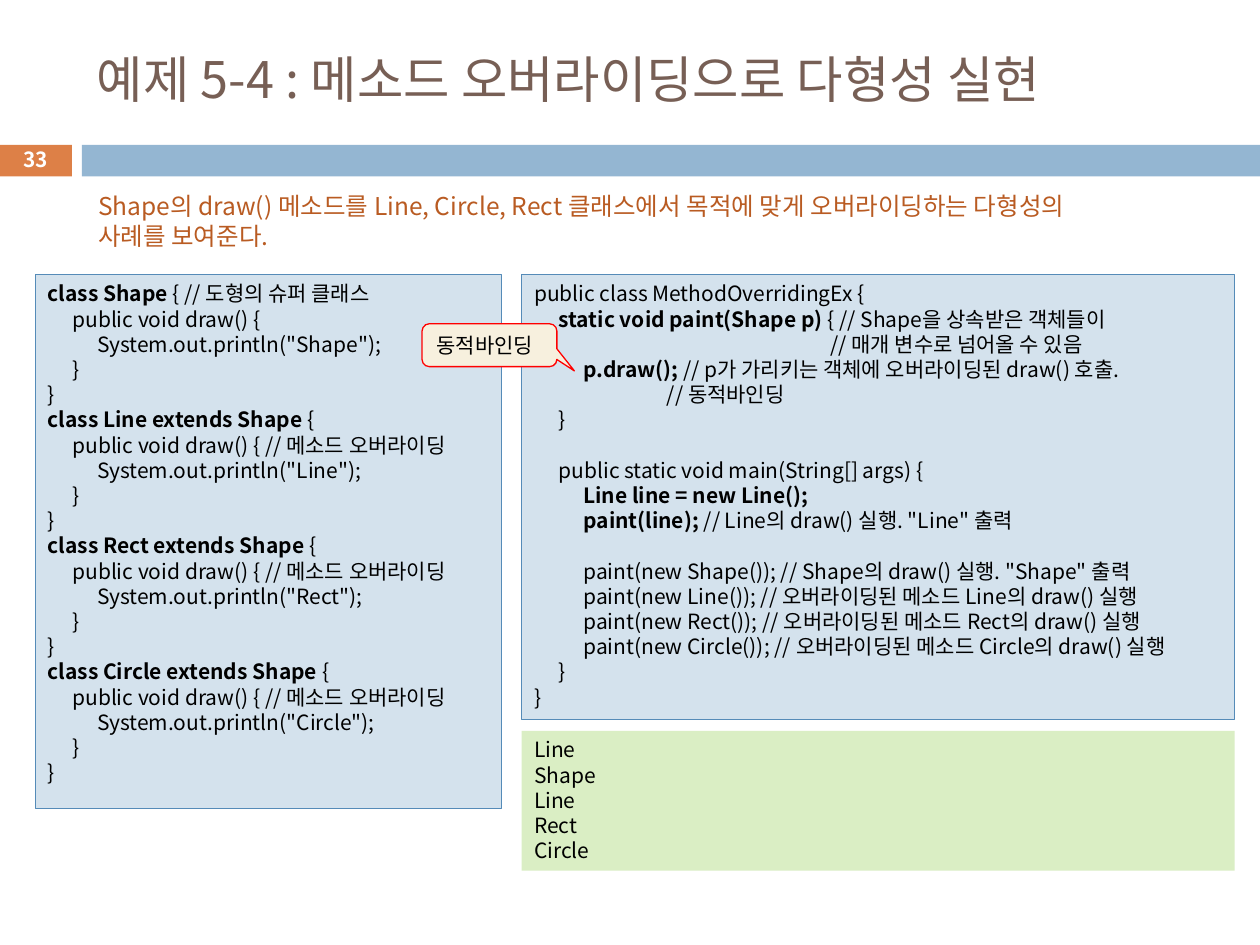
from typing import NamedTuple, Optional

from lxml import etree
from pptx import Presentation
from pptx.dml.color import RGBColor
from pptx.enum import shapes, text
from pptx.oxml import ns
from pptx.util import Inches, Pt

FONT = "Noto Sans CJK KR"
BLACK = RGBColor(0x00, 0x00, 0x00)
WHITE = RGBColor(0xFF, 0xFF, 0xFF)
BROWN = RGBColor(0x77, 0x5F, 0x55)
RUST = RGBColor(0xB9, 0x5B, 0x22)
ORANGE = RGBColor(0xDD, 0x80, 0x47)
BLUE = RGBColor(0x94, 0xB6, 0xD2)
PALE = RGBColor(0xD4, 0xE2, 0xED)
EDGE = RGBColor(0x55, 0x8B, 0xB8)
GREEN = RGBColor(0xDA, 0xEE, 0xC4)
CREAM = RGBColor(0xF7, 0xF0, 0xDE)
RED = RGBColor(0xFF, 0x00, 0x00)

TAB = Inches(0.196)
STOPS = 12
PITCH = 1.2  # line height as a multiple of the font size


class Box(NamedTuple):
    left: float
    top: float
    width: float
    height: float


class Line(NamedTuple):
    tabs: int
    plain: str
    bold: str = ""
    gap: bool = False  # leave one line free above


class Style(NamedTuple):
    size: float = 12
    color: RGBColor = BLACK
    bold: bool = False
    align: text.PP_ALIGN = text.PP_ALIGN.LEFT
    anchor: text.MSO_ANCHOR = text.MSO_ANCHOR.TOP
    wrap: bool = True


def place(box: Box) -> list:
    return [Inches(n) for n in box]


def add_shape(slide, box: Box, fill: RGBColor, edge: Optional[RGBColor] = None,
              kind=shapes.MSO_SHAPE.RECTANGLE):
    shape = slide.shapes.add_shape(kind, *place(box))
    shape.shadow.inherit = False
    shape.fill.solid()
    shape.fill.fore_color.rgb = fill
    if edge is None:
        shape.line.fill.background()
    else:
        shape.line.color.rgb = edge
        shape.line.width = Pt(0.75)
    return shape


def set_font(run, style: Style, bold: bool) -> None:
    font = run.font
    font.name = FONT
    font.size = Pt(style.size)
    font.bold = bold
    font.color.rgb = style.color
    east = etree.SubElement(run._r.get_or_add_rPr(), ns.qn("a:ea"))
    east.set("typeface", FONT)


def set_tabs(par) -> None:
    stops = etree.SubElement(par._p.get_or_add_pPr(), ns.qn("a:tabLst"))
    for step in range(1, STOPS + 1):
        stop = etree.SubElement(stops, ns.qn("a:tab"))
        stop.set("pos", str(step * TAB))
        stop.set("algn", "l")


def write(shape, lines: list[Line], style: Style = Style()) -> None:
    frame = shape.text_frame
    frame.word_wrap = style.wrap
    frame.vertical_anchor = style.anchor
    for index, line in enumerate(lines):
        par = frame.add_paragraph() if index else frame.paragraphs[0]
        par.alignment = style.align
        par.line_spacing = Pt(style.size * PITCH)
        if line.gap:
            par.space_before = Pt(style.size * PITCH)
        if line.tabs:
            set_tabs(par)
        par.text = "\t" * line.tabs + (line.bold or line.plain)
        set_font(par.runs[0], style, style.bold or bool(line.bold))
        if line.bold and line.plain:
            run = par.add_run()
            run.text = line.plain
            set_font(run, style, style.bold)


def add_text(slide, box: Box, words: str, style: Style) -> None:
    write(slide.shapes.add_textbox(*place(box)), [Line(0, words)], style)


def class_code(name: str) -> list[Line]:
    """Lines of one shape class; all but Shape itself extend Shape."""
    base = name == "Shape"
    head = "class Shape " if base else f"class {name} extends Shape "
    return [
        Line(0, "{ // 도형의 슈퍼 클래스" if base else "{", head),
        Line(1, "public void draw() {" + ("" if base else " // 메소드 오버라이딩")),
        Line(2, f'System.out.println("{name}");'),
        Line(1, "}"),
        Line(0, "}"),
    ]


MAIN = [
    Line(0, "public class MethodOverridingEx {"),
    Line(1, "{ // Shape을 상속받은 객체들이", "static void paint(Shape p) "),
    Line(12, "// 매개 변수로 넘어올 수 있음"),
    Line(2, "// p가 가리키는 객체에 오버라이딩된 draw() 호출.", "p.draw(); "),
    Line(5, "  // 동적바인딩"),
    Line(1, "}"),
    Line(1, "public static void main(String[] args) {", gap=True),
    Line(2, "", "Line line = new Line();"),
    Line(2, '// Line의 draw() 실행. "Line" 출력', "paint(line); "),
    Line(2, 'paint(new Shape()); // Shape의 draw() 실행. "Shape" 출력', gap=True),
    *[Line(2, f"paint(new {name}()); // 오버라이딩된 메소드 {name}의 draw() 실행")
      for name in ("Line", "Rect", "Circle")],
    Line(1, "}"),
    Line(0, "}"),
]


def main() -> None:
    deck = Presentation()
    deck.slide_width, deck.slide_height = Inches(10), Inches(7.5)
    slide = deck.slides.add_slide(deck.slide_layouts[6])
    middle = text.MSO_ANCHOR.MIDDLE
    center = text.PP_ALIGN.CENTER

    add_shape(slide, Box(-0.01, 1.15, 0.58, 0.25), ORANGE)
    add_shape(slide, Box(0.65, 1.15, 9.35, 0.25), BLUE)
    add_text(slide, Box(0.67, 0.25, 8.92, 0.74),
             "예제 5-4 : 메소드 오버라이딩으로 다형성 실현",
             Style(28.8, BROWN, anchor=middle))
    add_text(slide, Box(-0.01, 1.13, 0.58, 0.27), "33",
             Style(11.9, WHITE, True, center, middle))

    source = add_shape(slide, Box(0.28, 2.18, 3.7, 4.24), PALE, EDGE)
    write(source, [line for name in ("Shape", "Line", "Rect", "Circle")
                   for line in class_code(name)])
    write(add_shape(slide, Box(4.14, 2.18, 5.66, 3.53), PALE, EDGE), MAIN)
    output = add_shape(slide, Box(4.14, 5.8, 5.66, 1.11), GREEN)
    write(output, [Line(0, name) for name in
                   ("Line", "Shape", "Line", "Rect", "Circle")])

    add_text(slide, Box(0.68, 1.47, 8.26, 0.57),
             "Shape의 draw() 메소드를 Line, Circle, Rect 클래스에서 "
             "목적에 맞게 오버라이딩하는 다형성의 사례를 보여준다.",
             Style(14, RUST))

    note = add_shape(slide, Box(3.35, 2.57, 1.07, 0.34), CREAM, RED,
                     shapes.MSO_SHAPE.ROUNDED_RECTANGULAR_CALLOUT)
    for index, value in enumerate((0.63, 0.6, 0.17)):
        note.adjustments[index] = value
    write(note, [Line(0, "동적바인딩")], Style(anchor=middle, wrap=False))

    deck.save("out.pptx")


if __name__ == "__main__":
    main()
